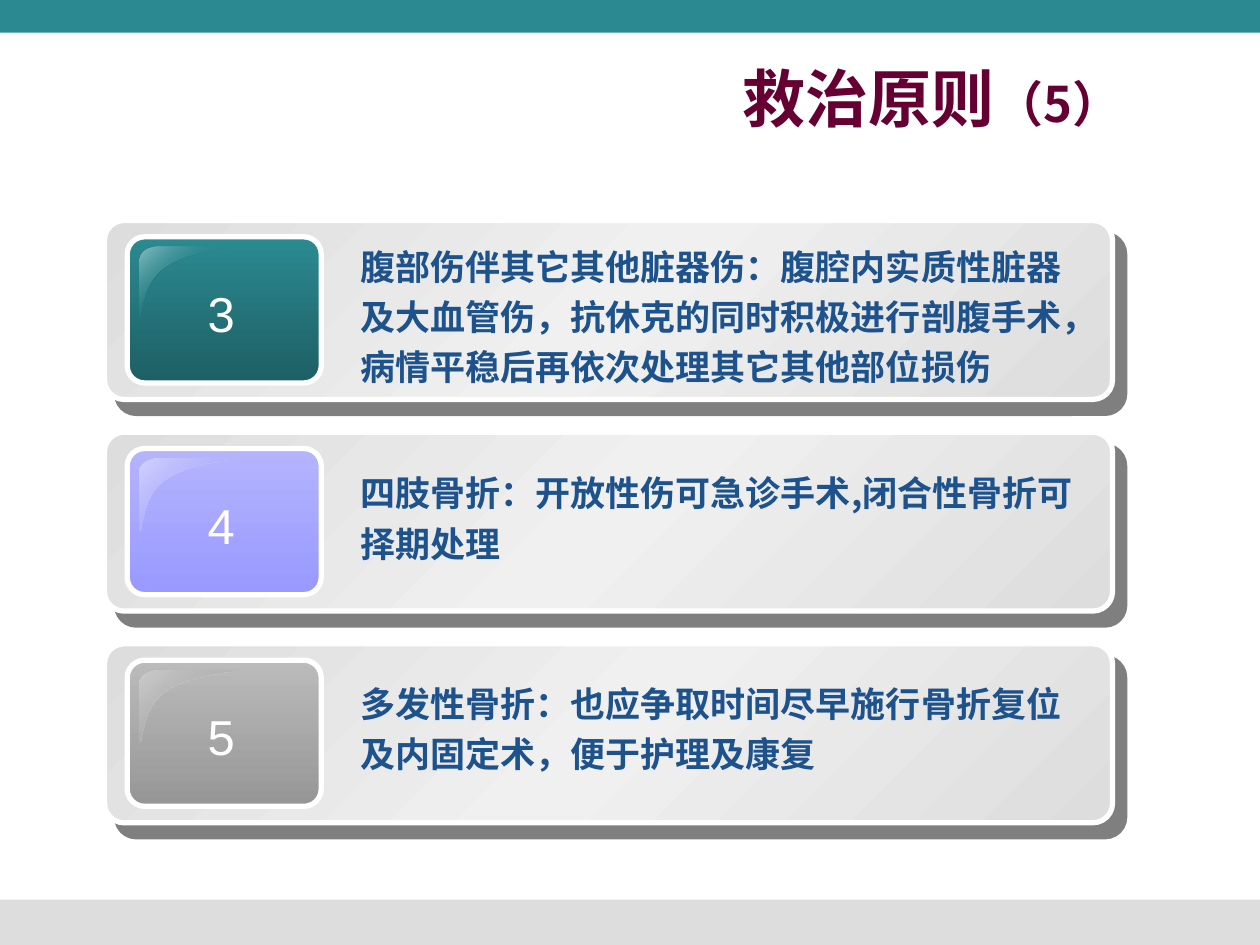
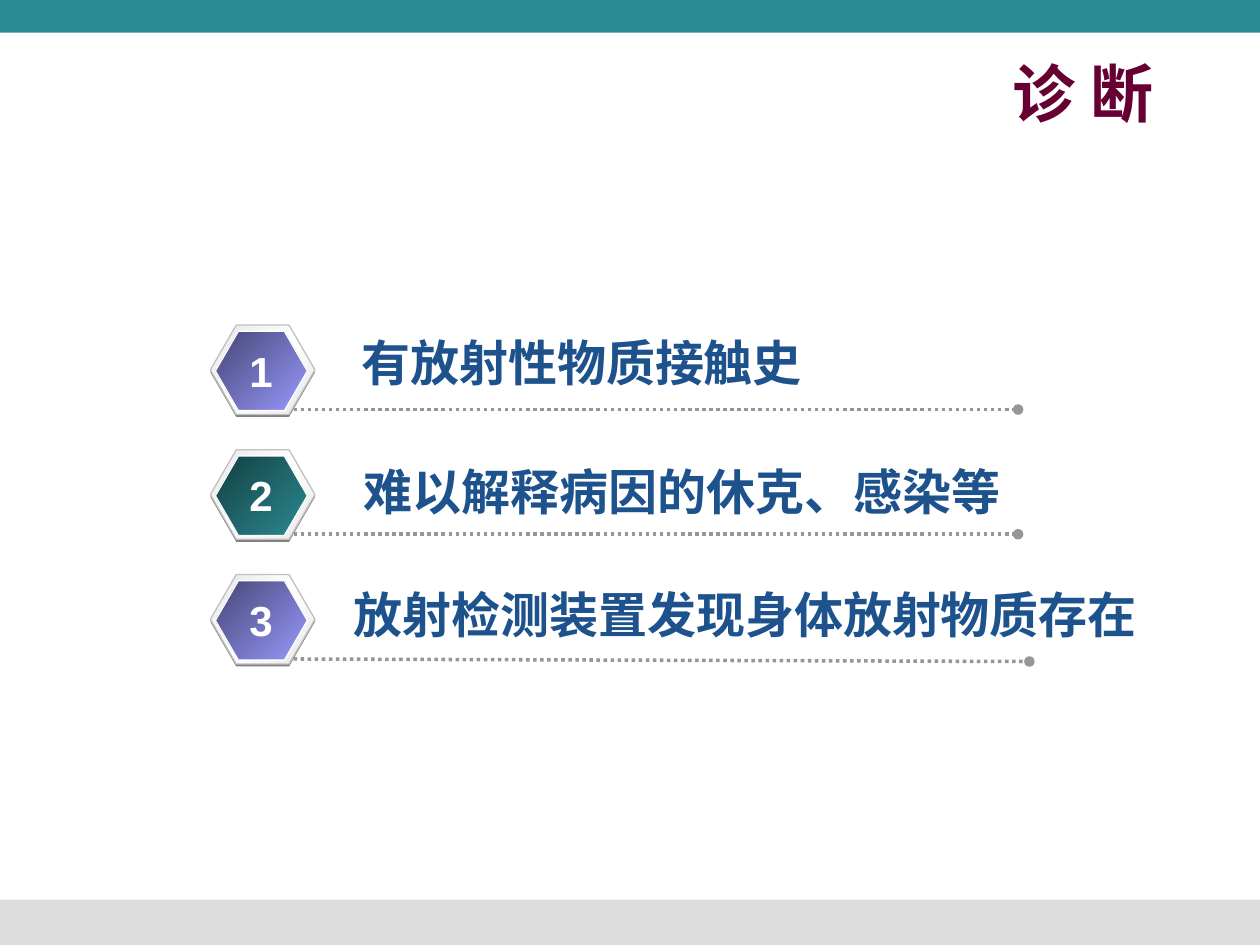
from lxml import etree
from pptx import Presentation
from pptx.dml.color import RGBColor
from pptx.enum.dml import MSO_LINE
from pptx.enum.shapes import MSO_CONNECTOR, MSO_SHAPE
from pptx.enum.text import MSO_ANCHOR, MSO_AUTO_SIZE, PP_ALIGN
from pptx.oxml.ns import qn
from pptx.util import Inches, Pt

RECT, ROUND, HEXAGON = MSO_SHAPE.RECTANGLE, MSO_SHAPE.ROUNDED_RECTANGLE, MSO_SHAPE.HEXAGON
LEFT, CENTER, RIGHT = PP_ALIGN.LEFT, PP_ALIGN.CENTER, PP_ALIGN.RIGHT
TOP, MIDDLE = MSO_ANCHOR.TOP, MSO_ANCHOR.MIDDLE
FIT, DOTTED, STRAIGHT = MSO_AUTO_SIZE.SHAPE_TO_FIT_TEXT, MSO_LINE.ROUND_DOT, MSO_CONNECTOR.STRAIGHT

COLUMNS, ROWS = 10, 7.5
WIDTH, HEIGHT = Inches(10), Inches(7.5)
LATIN, CJK = "Arial", "Noto Sans CJK SC"
COLORS = {
    "white": "FFFFFF", "black": "000000", "title": "660033", "body": "1D528D",
    "teal": "2B8A91", "teal dark": "1D5F64", "teal deep": "133F42", "teal light": "8ABEC2",
    "violet": "9999FF", "violet pale": "B4B4FE", "violet deep": "464675", "violet light": "D2D2FE",
    "gray": "969696", "gray pale": "BBBBBB", "gray light": "CBCBCB",
    "band": "DDDDDD", "card shine": "F0F0F0", "rim": "E6E6E6", "rim line": "C0C0C0",
    "hexagon shadow": "808080",
}
DIAGONAL, DOWN = 225, 90
CARD_GRADIENT = ([(0, "band"), (50, "card shine"), (100, "band")], DIAGONAL)
RIM_GRADIENT = ([(0, "rim"), (50, "white"), (100, "rim")], DIAGONAL)

CARDS = [
    ("3", "腹部伤伴其它其他脏器伤：腹腔内实质性脏器及大血管伤，抗休克的同时积极进行剖腹手术，"
          "病情平稳后再依次处理其它其他部位损伤", 0.08, 1.3, ("teal", "teal dark"),
     [(0, "teal light"), (50, "teal", 0), (100, "teal light")]),
    ("4", "四肢骨折：开放性伤可急诊手术,闭合性骨折可择期处理", 0.2, 0.9,
     ("violet pale", "violet"), [(0, "violet", 0), (100, "violet light")]),
    ("5", "多发性骨折：也应争取时间尽早施行骨折复位及内固定术，便于护理及康复", 0.19, 0.9,
     ("gray pale", "gray"), [(0, "gray", 0), (100, "gray light")]),
]
SIGNS = [
    ("1", "有放射性物质接触史", (2.77, 0.01, 3.81), (8.08, 0), ("violet", "violet deep")),
    ("2", "难以解释病因的休克、感染等", (2.79, 0.04, 5.42), (8.08, 0), ("teal", "teal deep")),
    ("3", "放射检测装置发现身体放射物质存在", (2.71, 0.03, 6.59), (8.17, 0.02),
     ("violet", "violet deep")),
]


def rgb(name):
    return RGBColor.from_string(COLORS[name])


def add_color(parent, name, alpha=100):
    color = etree.SubElement(parent, qn("a:srgbClr"), val=COLORS[name])
    if alpha < 100:
        etree.SubElement(color, qn("a:alpha"), val=str(alpha * 1000))


def bezier(start, first, second, end, steps=12):
    """Points along a cubic curve, without its start."""
    points = []
    for step in range(1, steps + 1):
        t = step / steps
        weights = ((1 - t) ** 3, 3 * t * (1 - t) ** 2, 3 * t * t * (1 - t), t ** 3)
        points.append(tuple(sum(w * p[axis] for w, p in zip(weights, (start, first, second, end)))
                            for axis in (0, 1)))
    return points


class Deck:
    """Holds the presentation, its style and the slide being drawn."""

    def __init__(self):
        self.presentation = Presentation()
        self.presentation.slide_width = WIDTH
        self.presentation.slide_height = HEIGHT
        self.shapes = None

    def x(self, columns):
        return round(columns * WIDTH / COLUMNS)

    def y(self, rows):
        return round(rows * HEIGHT / ROWS)

    def box(self, left, top, width, height):
        return self.x(left), self.y(top), self.x(width), self.y(height)

    def new_slide(self):
        layout = self.presentation.slide_layouts[6]
        self.shapes = self.presentation.slides.add_slide(layout).shapes
        self.shape(RECT, (0, 7.14, COLUMNS, 0.36), "band")
        self.shape(RECT, (0, 0, COLUMNS, 0.26), "teal")

    def paint(self, shape, fill, line=None, line_width=0.75):
        """Fill with a colour name or a (stops, clockwise angle) pair."""
        shape.shadow.inherit = False
        if isinstance(fill, str):
            shape.fill.solid()
            shape.fill.fore_color.rgb = rgb(fill)
        else:
            stops, angle = fill
            shape.fill.gradient()
            shape.fill.gradient_angle = 360 - angle
            stop_list = shape._element.spPr.find(qn("a:gradFill")).find(qn("a:gsLst"))
            for old_stop in list(stop_list):
                stop_list.remove(old_stop)
            for position, *color in stops:
                stop = etree.SubElement(stop_list, qn("a:gs"), pos=str(position * 1000))
                add_color(stop, *color)
        if line:
            shape.line.color.rgb = rgb(line)
            shape.line.width = Pt(line_width)
        else:
            shape.line.fill.background()

    def shape(self, kind, place, fill, corner=None, **outline):
        shape = self.shapes.add_shape(kind, *self.box(*place))
        if corner is not None:
            shape.adjustments[0] = corner
        self.paint(shape, fill, **outline)
        return shape

    def drop_shadow(self, shape):
        effects = shape._element.spPr.find(qn("a:effectLst"))
        shadow = etree.SubElement(effects, qn("a:outerShdw"), dist=str(Pt(10.6)),
                                  dir=str(49 * 60000), algn="ctr", rotWithShape="0")
        add_color(shadow, "black", 50)

    def outline(self, points, fill):
        start, *others = [(self.x(left), self.y(top)) for left, top in points]
        builder = self.shapes.build_freeform(*start)
        builder.add_line_segments(others, close=True)
        self.paint(builder.convert_to_shape(), fill)

    def text(self, runs, place, size=20, color="body", bold=True, align=LEFT, anchor=TOP,
             latin=LATIN, spacing=None, wrap=True, fit=True):
        """Write one paragraph; runs is a string or a list of (words, size)."""
        frame = self.shapes.add_textbox(*self.box(*place)).text_frame
        frame.word_wrap = wrap
        frame.vertical_anchor = anchor
        if fit:
            frame.auto_size = FIT
        paragraph = frame.paragraphs[0]
        paragraph.alignment = align
        if spacing:
            paragraph.line_spacing = spacing
        for words, run_size in ([(runs, size)] if isinstance(runs, str) else runs):
            run = paragraph.add_run()
            run.text = words
            run.font.size = Pt(run_size)
            run.font.bold = bold
            run.font.name = latin
            run.font.color.rgb = rgb(color)
            etree.SubElement(run.font._element, qn("a:ea"), typeface=CJK)

    def title(self, runs, place, **style):
        self.text(runs, place, size=36, color="title", align=RIGHT, **style)

    def dotted_line(self, start, end):
        """Dotted rule that ends in a round dot."""
        rule = self.shapes.add_connector(STRAIGHT, self.x(start[0]), self.y(start[1]),
                                         self.x(end[0]), self.y(end[1]))
        rule.line.color.rgb = rgb("gray")
        rule.line.width = Pt(2)
        rule.line.dash_style = DOTTED
        properties = rule._element.spPr
        etree.SubElement(properties.find(qn("a:ln")), qn("a:tailEnd"), type="oval")
        etree.SubElement(properties, qn("a:effectLst"))

    def gloss(self, left, top, stops):
        """Curved highlight in the upper left corner of a number button."""
        corner, side, foot = (0.15, 0), (0, 0.11), (0, 0.57)
        bend, tip = (0.2, 0.17), (0.75, 0)
        points = [corner, *bezier(corner, (0.06, 0), (0, 0.05), side), foot,
                  *bezier(foot, (0.03, 0.58), (0.01, 0.3), bend),
                  *bezier(bend, (0.39, 0.03), (0.76, 0.02), tip)]
        self.outline([(left + dx, top + dy) for dx, dy in points], (stops, DIAGONAL))

    def card(self, top, number, words, text_drop, text_height, button, shine):
        panel = self.shape(ROUND, (0.83, top, 8, 1.42), CARD_GRADIENT, corner=0.109,
                           line="white", line_width=3)
        self.drop_shadow(panel)
        self.shape(ROUND, (1.01, top + 0.13, 1.54, 1.16),
                   ([(0, button[0]), (100, button[1])], DOWN), corner=0.119,
                   line="white", line_width=3)
        self.gloss(1.11, top + 0.21, shine)
        self.text(number, (1.55, top + 0.45, 0.41, 0.57), size=28, color="white", bold=False,
                  align=CENTER, wrap=False)
        self.text(words, (2.76, top + text_drop, 5.88, text_height), latin=CJK, spacing=1.2)

    def sign(self, top, number, words, text_place, line_end, colors):
        """Numbered hexagon with a line of text over a dotted rule."""
        text_left, text_drop, text_width = text_place
        end, slope = line_end
        self.shape(HEXAGON, (1.67, top + 0.02, 0.83, 0.71), "hexagon shadow", corner=0.289)
        self.shape(HEXAGON, (1.67, top, 0.83, 0.71), RIM_GRADIENT, corner=0.289, line="rim line")
        self.shape(HEXAGON, (1.71, top + 0.05, 0.73, 0.63),
                   ([(0, colors[0]), (100, colors[1])], DIAGONAL), corner=0.289, line="white")
        self.dotted_line((2.33, top + 0.67), (end, top + 0.67 + slope))
        self.text(words, (text_left, top + text_drop, text_width, 0.57), size=28)
        self.text(number, (1.88, top + 0.11, 0.38, 0.5), size=24, color="white",
                  align=CENTER, wrap=False)


def main():
    deck = Deck()

    deck.new_slide()
    for index, card in enumerate(CARDS):
        deck.card(1.75 + 1.68 * index, *card)
    deck.title([("救治原则", 36), ("（5）", 28)], (0.83, 0.42, 8.17, 0.7), latin=CJK)

    deck.new_slide()
    for index, sign in enumerate(SIGNS):
        deck.sign(2.58 + 0.99 * index, *sign)
    deck.title("诊 断", (0.58, 0.42, 8.67, 0.62), latin="DejaVu Sans", anchor=MIDDLE, fit=False)

    deck.presentation.save("out.pptx")


if __name__ == "__main__":
    main()
